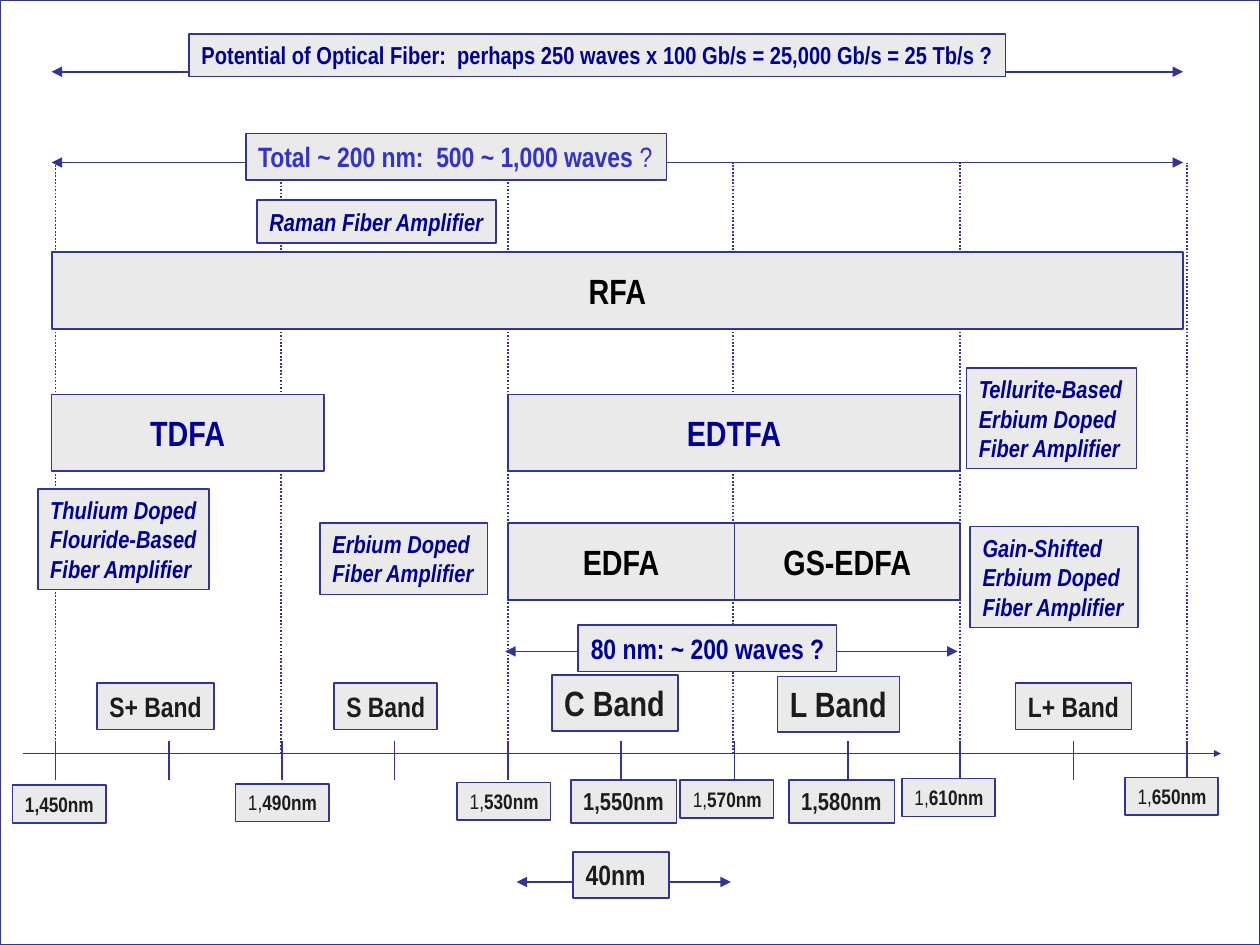
import pptx
import pptx.util
import pptx.dml.color
import pptx.enum.dml
import pptx.enum.shapes
import pptx.enum.text
import pptx.oxml
import pptx.oxml.ns
from lxml import etree

PX = 9144  # EMU per px, 100 px to the inch
WHITE = pptx.dml.color.RGBColor(0xFF, 0xFF, 0xFF)
GREY = pptx.dml.color.RGBColor(0xEA, 0xEA, 0xEA)
INDIGO = pptx.dml.color.RGBColor(0x33, 0x33, 0x99)
NAVY = pptx.dml.color.RGBColor(0x00, 0x00, 0x99)
BLUE = pptx.dml.color.RGBColor(0x33, 0x33, 0xCC)
CHARCOAL = pptx.dml.color.RGBColor(0x1C, 0x1C, 0x1C)
BLACK = pptx.dml.color.RGBColor(0x00, 0x00, 0x00)

deck = pptx.Presentation()
deck.slide_width, deck.slide_height = 1000 * PX, 750 * PX
slide = deck.slides.add_slide(deck.slide_layouts[6])


def add_box(text, x, y, w, h, size=14, color=NAVY, italic=False, lead="", tail="",
            centered=False, fill=GREY, line_width=1):
    """Framed box with bold text; lead and tail are set in regular weight."""
    box = slide.shapes.add_shape(pptx.enum.shapes.MSO_SHAPE.RECTANGLE,
                                 x * PX, y * PX, w * PX, h * PX)
    box.shadow.inherit = False
    box.fill.solid()
    box.fill.fore_color.rgb = fill
    box.line.color.rgb = INDIGO
    box.line.width = pptx.util.Pt(line_width)
    if not text:
        return
    frame = box.text_frame
    frame.word_wrap = True
    frame.auto_size = pptx.enum.text.MSO_AUTO_SIZE.NONE
    frame.margin_top = frame.margin_bottom = 5 * PX
    frame.margin_left = 10 * PX
    # Left-aligned labels fit tightly, so their lines may run up to the right edge
    frame.margin_right = 10 * PX if centered else 0
    frame.vertical_anchor = (pptx.enum.text.MSO_ANCHOR.MIDDLE if centered
                             else pptx.enum.text.MSO_ANCHOR.TOP)
    for i, words in enumerate(text.split("\n")):
        paragraph = frame.add_paragraph() if i else frame.paragraphs[0]
        paragraph.alignment = (pptx.enum.text.PP_ALIGN.CENTER if centered
                               else pptx.enum.text.PP_ALIGN.LEFT)
        for part, bold in ((lead, False), (words, True), (tail, False)):
            if part:
                run = paragraph.add_run()
                run.text = part
                run.font.name = "Arial Narrow"
                run.font.size = pptx.util.Pt(size)
                run.font.bold = bold
                run.font.italic = italic
                run.font.color.rgb = color


def add_line(x1, y1, x2, y2, arrows=(), arrow_size="med", dotted=False):
    line = slide.shapes.add_connector(pptx.enum.shapes.MSO_CONNECTOR.STRAIGHT,
                                      x1 * PX, y1 * PX, x2 * PX, y2 * PX)
    line.line.color.rgb = INDIGO
    line.line.width = pptx.util.Pt(1)
    if dotted:
        line.line.dash_style = pptx.enum.dml.MSO_LINE.ROUND_DOT
    for end in arrows:
        etree.SubElement(line.line._get_or_add_ln(), pptx.oxml.ns.qn("a:" + end),
                         type="triangle", w=arrow_size, len=arrow_size)
    etree.SubElement(line._element.spPr, pptx.oxml.ns.qn("a:effectLst"))


BOTH_ENDS = ("headEnd", "tailEnd")

# Frame around the slide
add_box("", 0, 0, 1000, 750, fill=WHITE, line_width=0.75)

# Wavelength axis: a tick every 20 nm, a dotted guide every 40 nm
add_line(18, 598, 969, 598, arrows=("tailEnd",), arrow_size="sm")
for i in range(11):
    tick_x = round(44 + 89.8 * i)
    add_line(tick_x, 588, tick_x, 619)
    if i % 2 == 0:
        guide_x = round(43.7 + 89.8 * i)
        add_line(guide_x, 598, guide_x, 129, dotted=True)

# Wavelength labels at the guides
for i, (lead, wavelength, y) in enumerate([
        ("", "1,450nm", 623), ("1,", "490nm", 622), ("1,", "530nm", 621),
        ("1,", "570nm", 619), ("1,", "610nm", 618), ("1,", "650nm", 617)]):
    add_box(wavelength, round(10 + 176.6 * i), y, 74, 30, size=12, color=CHARCOAL, lead=lead)

# Centre wavelengths of the C and L bands
for wavelength, x in (("1,550nm", 453), ("1,580nm", 626)):
    add_box(wavelength, x, 619, 84, 34, color=CHARCOAL)

# Band names
for band, x, y, w, h, size in [
        ("S+ Band", 77, 542, 93, 37, 16), ("S Band", 265, 542, 82, 37, 16),
        ("C Band", 438, 536, 100, 44, 20), ("L Band", 617, 537, 97, 44, 20),
        ("L+ Band", 806, 542, 92, 37, 16)]:
    add_box(band, x, y, w, h, size=size, color=CHARCOAL)

# Amplifier ranges
for amplifier, x, y, w, color in [
        ("RFA", 41, 200, 898, BLACK), ("TDFA", 41, 313, 216, NAVY),
        ("EDTFA", 403, 313, 359, NAVY), ("GS-EDFA", 583, 415, 179, BLACK),
        ("EDFA", 403, 415, 180, BLACK)]:
    add_box(amplifier, x, y, w, 61, size=20, color=color, centered=True)

# Amplifier names in full
for full_name, x, y, w, h in [
        ("Erbium Doped\nFiber Amplifier", 254, 415, 133, 57),
        ("Gain-Shifted\nErbium Doped\nFiber Amplifier", 770, 418, 133, 80),
        ("Tellurite-Based\nErbium Doped\nFiber Amplifier", 767, 292, 135, 80),
        ("Thulium Doped\nFlouride-Based\nFiber Amplifier", 30, 388, 136, 80),
        ("Raman Fiber Amplifier", 204, 159, 190, 34)]:
    add_box(full_name, x, y, w, h, italic=True)

# Spans with their captions
add_line(41, 129, 939, 129, arrows=BOTH_ENDS)
add_box("Total ~ 200 nm:  500 ~ 1,000 waves", 195, 106, 334, 37, size=16, color=BLUE, tail=" ?")
add_line(401, 517, 760, 517, arrows=BOTH_ENDS)
add_box("80 nm: ~ 200 waves ?", 459, 496, 205, 37, size=16)
add_line(410, 700, 580, 700, arrows=BOTH_ENDS)
add_box("40nm", 455, 676, 76, 37, size=16, color=CHARCOAL)
add_line(41, 57, 939, 57, arrows=BOTH_ENDS)
add_box("Potential of Optical Fiber:  perhaps 250 waves x 100 Gb/s = 25,000 Gb/s = 25 Tb/s ?",
        150, 27, 648, 34, line_width=0.75)

deck.save("out.pptx")
